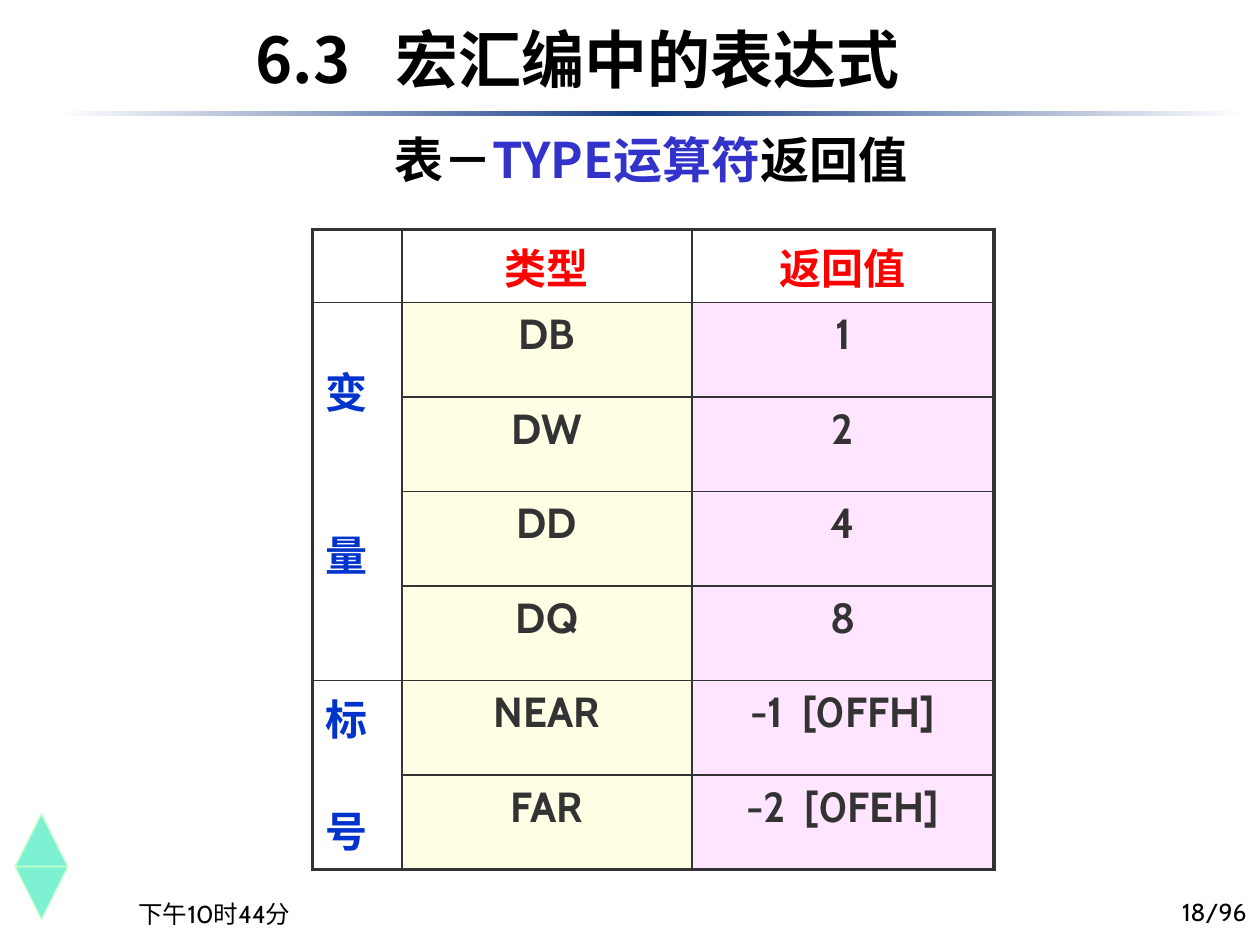
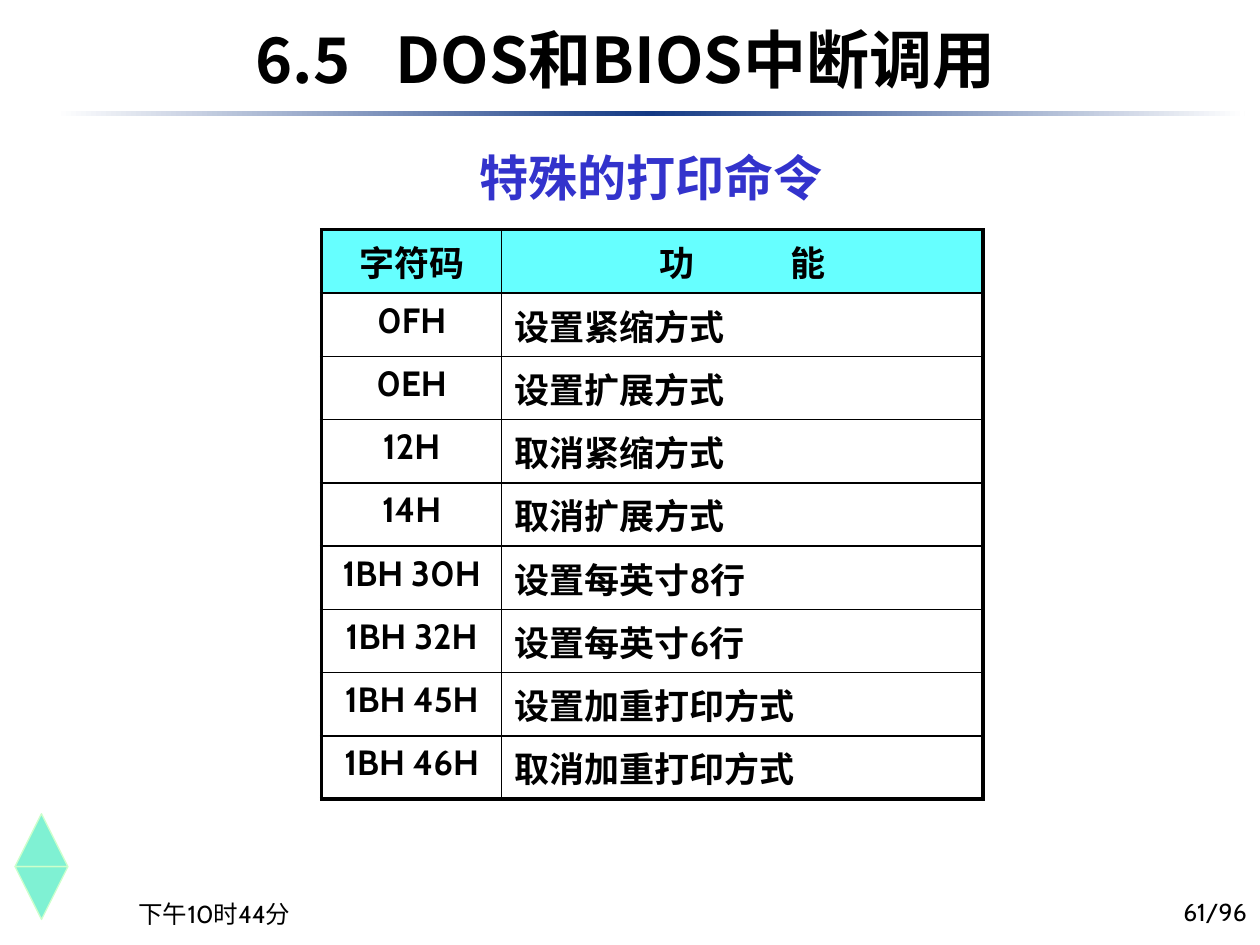
from lxml import etree
from pptx import Presentation
from pptx.dml.color import RGBColor
from pptx.enum.shapes import MSO_SHAPE
from pptx.enum.text import MSO_ANCHOR, PP_ALIGN
from pptx.oxml.ns import qn
from pptx.util import Pt

RECTANGLE, TRIANGLE = MSO_SHAPE.RECTANGLE, MSO_SHAPE.ISOSCELES_TRIANGLE
TOP, MIDDLE, BOTTOM = MSO_ANCHOR.TOP, MSO_ANCHOR.MIDDLE, MSO_ANCHOR.BOTTOM
LEFT, CENTER, RIGHT = PP_ALIGN.LEFT, PP_ALIGN.CENTER, PP_ALIGN.RIGHT

HEADING_FONT, BODY_FONT = "Noto Sans CJK SC", "Cabin"
NO_TABLE_STYLE = "{2D5ABB26-0587-4C30-8999-92F81FD0307C}"
COLORS = {
    "white": "FFFFFF", "black": "000000", "navy": "133984", "violet": "3333CC",
    "mint": "00E4A8", "pale_green": "CCFFCC", "charcoal": "333333",
    "red": "FF0000", "blue": "0033CC", "yellow": "FFFFCC", "pink": "FFCCFF",
    "cyan": "66FFFF",
}

# Content; a text is a string or a list of (text, colour) pieces
CLOCK = "下午10时44分"

TYPE_SLIDE = {
    "title": "6.3\t 宏汇编中的表达式", "title_width": 442, "page": "18/96",
    "subtitle": [("表－", "black"), ("TYPE运算符", "violet"), ("返回值", "black")],
    "subtitle_box": (200, 70.5, 344, 41), "subtitle_anchor": MIDDLE,
}
TYPE_ROWS = [
    ("", "类型", "返回值"),
    ("变量", "DB", "1"),
    ("", "DW", "2"),
    ("", "DD", "4"),
    ("", "DQ", "8"),
    ("标号", "NEAR", "-1  [0FFH]"),
    ("", "FAR", "-2  [0FEH]"),
]
# First row, last row, top margin, gap between the two characters
TYPE_GROUPS = [(1, 4, 32.8, 58.4), (5, 6, 3.6, 29.2)]

PRINT_SLIDE = {
    "title": "6.5\t DOS和BIOS中断调用", "title_width": 465, "page": "61/96",
    "subtitle": "特殊的打印命令", "subtitle_box": (241, 80.6, 262, 41),
    "subtitle_anchor": TOP,
}
PRINT_ROWS = [
    ("字符码", "功能"),
    ("0FH", "设置紧缩方式"),
    ("0EH", "设置扩展方式"),
    ("12H", "取消紧缩方式"),
    ("14H", "取消扩展方式"),
    ("1BH 30H", "设置每英寸8行"),
    ("1BH 32H", "设置每英寸6行"),
    ("1BH 45H", "设置加重打印方式"),
    ("1BH 46H", "取消加重打印方式"),
]


def rgb(name):
    return RGBColor.from_string(COLORS[name])


def paint(fill, color, alpha=None):
    fill.solid()
    fill.fore_color.rgb = rgb(color)
    if alpha:
        solid = fill._xPr.find(qn("a:solidFill"))
        etree.SubElement(solid[0], qn("a:alpha"), val=str(alpha * 1000))


def write(frame, *paragraphs, size=24, color="black", font=BODY_FONT, bold=True,
          align=LEFT, gap=0):
    for index, content in enumerate(paragraphs):
        paragraph = frame.add_paragraph() if index else frame.paragraphs[0]
        paragraph.alignment = align
        if index:
            paragraph.space_before = Pt(gap)
        pieces = [(content, color)] if isinstance(content, str) else content
        for text, piece_color in pieces:
            run = paragraph.add_run()
            run.text = text
            run.font.size, run.font.bold, run.font.name = Pt(size), bold, font
            run.font.color.rgb = rgb(piece_color)
            east_asian = etree.SubElement(run.font._element, qn("a:ea"))
            east_asian.set("typeface", HEADING_FONT)


def text_box(slide, box, content, anchor=TOP, inset=3.6, **style):
    frame = slide.shapes.add_textbox(*map(Pt, box)).text_frame
    frame.word_wrap = True
    frame.vertical_anchor = anchor
    frame.margin_top = frame.margin_bottom = Pt(inset)
    write(frame, content, **style)


def add_frame(slide, content):
    """Rule, arrow pair, footers, title and subtitle."""
    # Rule that fades out from the middle
    for left, stops in ((31.7, ("white", "navy")), (371.5, ("navy", "white"))):
        rule = slide.shapes.add_shape(RECTANGLE, Pt(left), Pt(63.4), Pt(339.8), Pt(2.9))
        rule.shadow.inherit = False
        rule.line.fill.background()
        rule.fill.gradient()
        rule.fill.gradient_angle = 0
        for stop, color in zip(rule.fill.gradient_stops, stops):
            stop.color.rgb = rgb(color)

    # Up and down arrows
    for top, turn in ((465, 0), (495.2, 180)):
        arrow = slide.shapes.add_shape(TRIANGLE, Pt(8.6), Pt(top), Pt(30.2), Pt(30.2))
        arrow.rotation = turn
        arrow.shadow.inherit = False
        paint(arrow.fill, "mint", alpha=50)
        arrow.line.color.rgb = rgb("pale_green")
        arrow.line.width = Pt(0.75)

    # Footers
    footer = {"size": 14, "bold": False, "anchor": BOTTOM}
    text_box(slide, (72, 498.2, 150, 36), CLOCK, **footer)
    text_box(slide, (569.5, 496.8, 150, 36), content["page"], align=RIGHT, **footer)

    # Headings
    text_box(slide, (139, 11.5, content["title_width"], 43.2), content["title"],
             anchor=MIDDLE, inset=0, size=36, font=HEADING_FONT)
    text_box(slide, content["subtitle_box"], content["subtitle"], size=28,
             anchor=content["subtitle_anchor"], font=HEADING_FONT, color="violet",
             align=CENTER)


def add_grid(slide, left, top, widths, heights):
    grid = slide.shapes.add_table(len(heights), len(widths), Pt(left), Pt(top),
                                  Pt(sum(widths)), Pt(sum(heights))).table
    grid.first_row = grid.horz_banding = False
    grid._tbl.tblPr.find(qn("a:tableStyleId")).text = NO_TABLE_STYLE
    for column, width in zip(grid.columns, widths):
        column.width = Pt(width)
    for row, height in zip(grid.rows, heights):
        row.height = Pt(height)
    return grid


def add_borders(grid, color, outer=2.25, inner=1):
    last_row, last_column = len(grid.rows) - 1, len(grid.columns) - 1
    for r in range(last_row + 1):
        for c in range(last_column + 1):
            cell = grid.cell(r, c)
            bottom_row = r + cell.span_height - 1 if cell.is_merge_origin else r
            edges = [("L", c == 0), ("R", c == last_column)]
            if not cell.is_spanned:
                edges += [("T", r == 0), ("B", bottom_row == last_row)]
            properties = cell._tc.get_or_add_tcPr()
            for index, (side, is_outer) in enumerate(edges):
                width = Pt(outer if is_outer else inner)
                line = etree.Element(qn("a:ln" + side), w=str(int(width)))
                solid = etree.SubElement(line, qn("a:solidFill"))
                etree.SubElement(solid, qn("a:srgbClr"), val=COLORS[color])
                properties.insert(index, line)


def add_type_table(slide):
    grid = add_grid(slide, 178.6, 131, (51.1, 165.6, 172.8), [42] + [54] * 6)
    for first, last, _, _ in TYPE_GROUPS:
        grid.cell(first, 0).merge(grid.cell(last, 0))
    for r, row in enumerate(TYPE_ROWS):
        for c, text in enumerate(row):
            cell = grid.cell(r, c)
            if r and c:
                paint(cell.fill, ("yellow", "pink")[c - 1], alpha=50)
            else:
                cell.fill.background()
            if c:
                write(cell.text_frame, text, color="charcoal" if r else "red",
                      align=CENTER)
    # Group names run downwards, one character a paragraph
    for first, _, margin, gap in TYPE_GROUPS:
        cell = grid.cell(first, 0)
        cell.margin_top = Pt(margin)
        write(cell.text_frame, *TYPE_ROWS[first][0], color="blue", gap=gap)
    add_borders(grid, "charcoal")


def add_print_table(slide):
    grid = add_grid(slide, 183.8, 131.3, (102.9, 275), [36.16] * len(PRINT_ROWS))
    for r, row in enumerate(PRINT_ROWS):
        for c, text in enumerate(row):
            cell = grid.cell(r, c)
            if r == 0:
                paint(cell.fill, "cyan")
            else:
                cell.fill.background()
            is_header_pair = (r, c) == (0, 1)
            content = [(char, "black") for char in text] if is_header_pair else text
            write(cell.text_frame, content, size=20,
                  align=LEFT if r and c else CENTER)
    # Wide letter spacing parts the two characters of the second header
    first_run = grid.cell(0, 1).text_frame.paragraphs[0].runs[0]
    first_run.font._element.set("spc", "5500")
    add_borders(grid, "black")


deck = Presentation()
deck.slide_width, deck.slide_height = Pt(720), Pt(540)
for content, add_table in ((TYPE_SLIDE, add_type_table), (PRINT_SLIDE, add_print_table)):
    slide = deck.slides.add_slide(deck.slide_layouts[6])
    paint(slide.background.fill, "white")
    add_frame(slide, content)
    add_table(slide)
deck.save("out.pptx")
